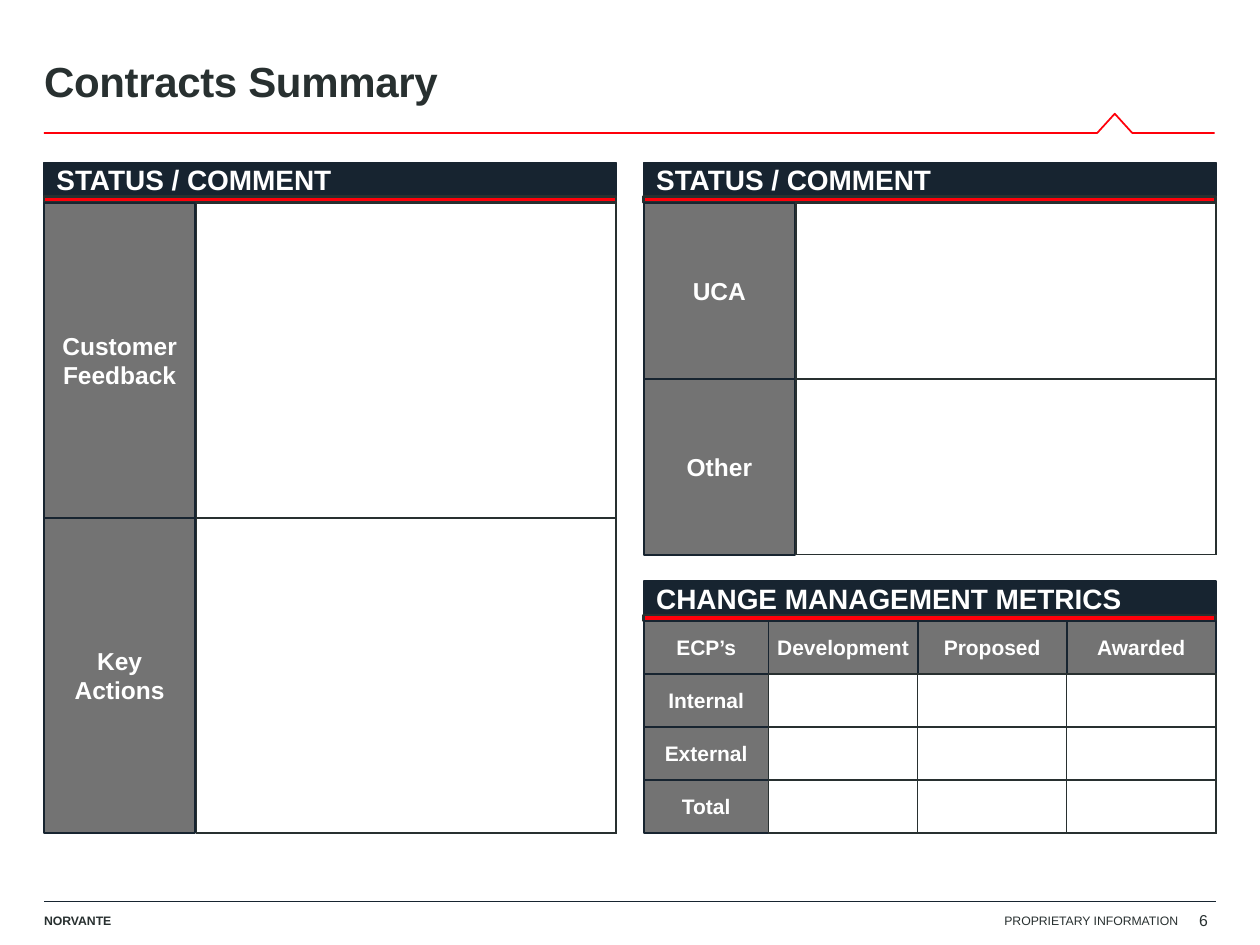
import pptx
import pptx.util
import pptx.dml.color
import pptx.enum.shapes
import pptx.enum.text
import pptx.oxml
import pptx.oxml.ns

Pt = pptx.util.Pt
ALIGN = pptx.enum.text.PP_ALIGN
ANCHOR = pptx.enum.text.MSO_ANCHOR
RECT = pptx.enum.shapes.MSO_SHAPE.RECTANGLE

# Content
TITLE = "Contracts Summary"
COMPANY, MARKING, PAGE_NUMBER = "NORVANTE", "PROPRIETARY INFORMATION", "6"
LEFT, RIGHT = 25.2, 694.8
PANEL_W = 326.9
RIGHT_PANEL = RIGHT - PANEL_W
PANELS = [  # heading, left, top, bottom, row labels
    ("STATUS / COMMENT", LEFT, 92.9, 475.9, ["Customer Feedback", "Key Actions"]),
    ("STATUS / COMMENT", RIGHT_PANEL, 92.9, 317, ["UCA", "Other"]),
]
METRICS = ("CHANGE MANAGEMENT METRICS", RIGHT_PANEL, 331.9, 475.9)
METRIC_ROWS = ["ECP’s", "Internal", "External", "Total"]
METRIC_COLUMNS = ["Development", "Proposed", "Awarded"]
HEADER_H, STRIPE_H = 19.5, 3.5
LABEL_W, METRIC_LABEL_W = 86.4, 71.3
NAVY, RED, GREY, INK, WHITE = "172430", "FF000A", "737373", "283030", "FFFFFF"


def color(value):
    return pptx.dml.color.RGBColor.from_string(value)


def set_text(shape, text, size=12, fill=WHITE, bold=True, align=ALIGN.CENTER,
             anchor=ANCHOR.MIDDLE, inset=0, wrap=True):
    frame = shape.text_frame
    frame.word_wrap = wrap
    frame.auto_size = pptx.enum.text.MSO_AUTO_SIZE.NONE
    frame.vertical_anchor = anchor
    frame.margin_left = frame.margin_right = Pt(inset)
    frame.margin_top = frame.margin_bottom = 0
    para = frame.paragraphs[0]
    para.alignment = align
    span = para.add_run()
    span.text = text
    span.font.name = "Arial"
    span.font.size = Pt(size)
    span.font.bold = bold
    span.font.color.rgb = color(fill)
    return span


def add_box(left, top, width, height, fill, line=NAVY, weight=1):
    box = page.shapes.add_shape(RECT, Pt(left), Pt(top), Pt(width), Pt(height))
    box.shadow.inherit = False
    box.fill.solid()
    box.fill.fore_color.rgb = color(fill)
    box.line.color.rgb = color(line)
    box.line.width = Pt(weight)
    return box


def add_label(text, left, top, width, height, size, inset):
    set_text(add_box(left, top, width, height, GREY), text, size=size, inset=inset)


def add_header(text, left, top):
    """Draw the heading bar and its stripe; return the top of the body."""
    bar = add_box(left, top, PANEL_W, HEADER_H, NAVY)
    set_text(bar, text, size=16, align=ALIGN.LEFT, inset=7.2)
    add_box(left, top + HEADER_H, PANEL_W, STRIPE_H, RED, line=INK, weight=1.5)
    return top + HEADER_H + STRIPE_H


def add_blank_table(rows, columns, left, top, width, height):
    table = page.shapes.add_table(rows, columns, Pt(left), Pt(top),
                                  Pt(width), Pt(height)).table
    table.first_row = table.horz_banding = False
    for cell in table.iter_cells():
        properties = cell._tc.get_or_add_tcPr()
        for side in "LRTB":
            properties.append(pptx.oxml.parse_xml(
                f'<a:ln{side} {pptx.oxml.ns.nsdecls("a")} w="12700"><a:solidFill>'
                f'<a:srgbClr val="{INK}"/></a:solidFill></a:ln{side}>'))
        cell.fill.background()


def add_footer_text(text, left, top, width, height, **form):
    box = page.shapes.add_textbox(Pt(left), Pt(top), Pt(width), Pt(height))
    set_text(box, text, fill=INK, wrap=False, **form)


deck = pptx.Presentation()
deck.slide_width, deck.slide_height = Pt(720), Pt(540)
page = deck.slides.add_slide(deck.slide_layouts[5])

# Title and the peaked rule under it
title = page.shapes.title
title.left, title.top, title.width, title.height = Pt(LEFT), Pt(23), Pt(558), Pt(50.4)
title_span = set_text(title, TITLE, size=24, fill=INK, align=ALIGN.LEFT)
title_span.font._element.set("spc", "-20")
title.text_frame.paragraphs[0].line_spacing = 0.85

outline = page.shapes.build_freeform(694, 75.5, scale=12700)
outline.add_line_segments([(647.3, 75.5), (637.2, 65.4), (627.1, 75.5), (LEFT, 75.5)],
                          close=False)
rule = outline.convert_to_shape()
rule.shadow.inherit = False
rule.fill.background()
rule.line.color.rgb = color(RED)
rule.line.width = Pt(1)

# Status panels
for heading, left, top, bottom, labels in PANELS:
    body = add_header(heading, left, top)
    row_h = (bottom - body) / len(labels)
    for i, label in enumerate(labels):
        add_label(label, left, body + i * row_h, LABEL_W, row_h, 14, 6.8)
    add_blank_table(len(labels), 1, left + LABEL_W + 0.6, body,
                    PANEL_W - LABEL_W - 0.6, bottom - body)

# Change metrics grid
heading, left, top, bottom = METRICS
body = add_header(heading, left, top)
row_h = (bottom - body) / len(METRIC_ROWS)
grid_left = left + METRIC_LABEL_W
grid_w = PANEL_W - METRIC_LABEL_W
column_w = grid_w / len(METRIC_COLUMNS)
for i, label in enumerate(METRIC_ROWS):
    add_label(label, left, body + i * row_h, METRIC_LABEL_W, row_h, 12, 0)
for i, label in enumerate(METRIC_COLUMNS):
    add_label(label, grid_left + i * column_w, body, column_w, row_h, 12, 0)
add_blank_table(len(METRIC_ROWS) - 1, len(METRIC_COLUMNS), grid_left, body + row_h,
                grid_w, bottom - body - row_h)

# Footer
footer_rule = page.shapes.add_connector(pptx.enum.shapes.MSO_CONNECTOR.STRAIGHT,
                                        Pt(LEFT), Pt(515), Pt(RIGHT), Pt(515))
footer_rule.line.color.rgb = color(NAVY)
footer_rule.line.width = Pt(0.25)
footer_rule._element.spPr.append(pptx.oxml.parse_xml(
    f'<a:effectLst {pptx.oxml.ns.nsdecls("a")}/>'))
add_footer_text(COMPANY, LEFT, 522, 54, 10.8, size=7, align=ALIGN.LEFT, anchor=ANCHOR.TOP)
add_footer_text(MARKING, 486, 522, 187.2, 10.8, size=7, bold=False, align=ALIGN.RIGHT,
                anchor=ANCHOR.TOP)
add_footer_text(PAGE_NUMBER, 678.2, 515.5, 23.8, 20.9, size=9, bold=False,
                align=ALIGN.LEFT, inset=7.2)

deck.save("out.pptx")
